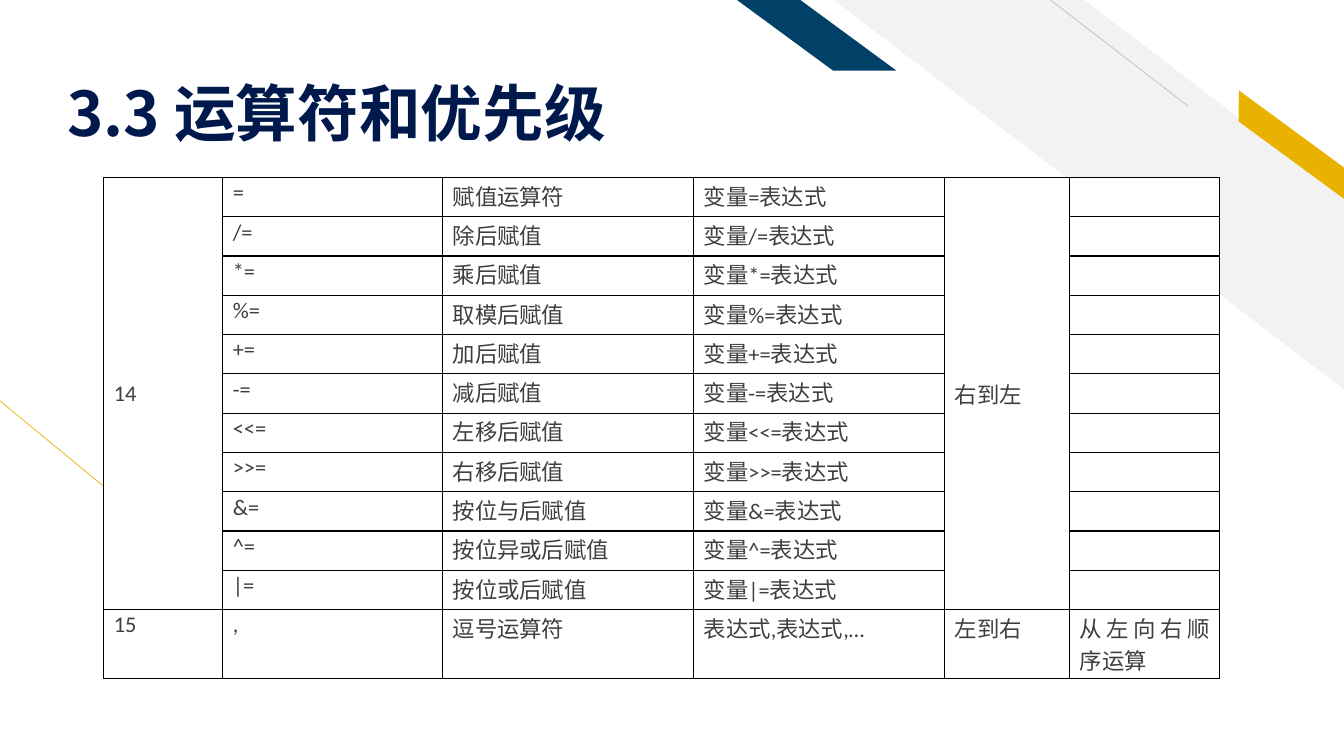
"""Build the slide on assignment and comma operators and their precedence."""
from dataclasses import dataclass
from typing import Any

from lxml import etree
from pptx import Presentation
from pptx.dml.color import RGBColor
from pptx.enum.shapes import MSO_CONNECTOR, MSO_SHAPE
from pptx.enum.text import MSO_ANCHOR, MSO_AUTO_SIZE, PP_ALIGN
from pptx.oxml.ns import qn
from pptx.slide import Slide
from pptx.table import Table, _Cell
from pptx.text.text import _Run
from pptx.util import Emu, Pt

STRIPE, PARALLELOGRAM = MSO_SHAPE.DIAGONAL_STRIPE, MSO_SHAPE.PARALLELOGRAM
STRAIGHT = MSO_CONNECTOR.STRAIGHT
TOP, MIDDLE, BOTTOM = MSO_ANCHOR.TOP, MSO_ANCHOR.MIDDLE, MSO_ANCHOR.BOTTOM
JUSTIFY, LEFT = PP_ALIGN.JUSTIFY, PP_ALIGN.LEFT
NO_AUTOFIT = MSO_AUTO_SIZE.NONE

GOLD = RGBColor(0xEA, 0xB2, 0x00)
PALE_GREY = RGBColor(0xF2, 0xF2, 0xF2)
MID_GREY = RGBColor(0xBF, 0xBF, 0xBF)
TEAL = RGBColor(0x01, 0x40, 0x67)
NAVY = RGBColor(0x00, 0x19, 0x4C)
TEXT_GREY = RGBColor(0x3F, 0x3F, 0x3F)
WHITE = RGBColor(0xFF, 0xFF, 0xFF)

LATIN_FONT = "Calibri"
CHINESE_FONT = "Noto Sans CJK SC"
EMU_PER_PX = 9144
TITLE_ONLY = 5


def px(length: int) -> Emu:
    """Turn px into EMU, at 100 px to the inch."""
    return Emu(length * EMU_PER_PX)


@dataclass(frozen=True)
class Band:
    """A slanted band of the background."""
    preset: MSO_SHAPE
    box: tuple[int, int, int, int]
    slant: float
    color: RGBColor
    rotation: float = 0


@dataclass(frozen=True)
class Hairline:
    """A thin line of the background."""
    start: tuple[int, int]
    end: tuple[int, int]
    color: RGBColor


@dataclass(frozen=True)
class Operator:
    """An operator with its meaning."""
    symbol: str
    meaning: str


HAIRLINES = (
    Hairline((208, 569), (-1, 397), GOLD),
    Hairline((1178, 105), (1042, 0), MID_GREY),
)
BANDS = (
    Band(STRIPE, (827, 0, 507, 387), 0.51, PALE_GREY),
    Band(PARALLELOGRAM, (1207, 131, 148, 25), 0.72, GOLD, 36.3),
    Band(PARALLELOGRAM, (731, 0, 158, 70), 1.36, TEAL),
)
ASSIGNMENTS = (
    Operator("=", "赋值运算符"),
    Operator("/=", "除后赋值"),
    Operator("*=", "乘后赋值"),
    Operator("%=", "取模后赋值"),
    Operator("+=", "加后赋值"),
    Operator("-=", "减后赋值"),
    Operator("<<=", "左移后赋值"),
    Operator(">>=", "右移后赋值"),
    Operator("&=", "按位与后赋值"),
    Operator("^=", "按位异或后赋值"),
    Operator("|=", "按位或后赋值"),
)
COMMA_ROW = ("15", ",", "逗号运算符", "表达式,表达式,…", "左到右", "从左向右顺序运算")
LEVEL_COLUMN, DIRECTION_COLUMN = 0, 4
COLUMN_WIDTHS = (118, 218, 249, 249, 124, 149)
ROW_HEIGHTS = (39,) * len(ASSIGNMENTS) + (66,)

TITLE_BOX = {"left": px(57), "top": px(23), "width": px(911), "height": px(126)}
TITLE_FRAME = {
    "margin_left": px(10), "margin_top": px(5), "margin_right": px(10), "margin_bottom": 0,
    "vertical_anchor": BOTTOM, "word_wrap": True, "auto_size": NO_AUTOFIT,
}
TITLE_FONT = {"name": CHINESE_FONT, "size": Pt(44), "bold": True}
CELL_FORMAT = {
    "margin_left": px(10), "margin_top": px(2), "margin_right": px(10), "margin_bottom": px(2),
}
CELL_FONT = {"name": LATIN_FONT, "size": Pt(16), "bold": False}
PLAIN_TABLE = {"first_row": False, "horz_banding": False}


def apply_format(target: Any, values: dict[str, Any]) -> None:
    """Set each named attribute on the target."""
    for name, value in values.items():
        setattr(target, name, value)


def style_run(run: _Run, font_values: dict[str, Any], color: RGBColor) -> None:
    """Format a run, with the Chinese font for East Asian text."""
    apply_format(run.font, font_values)
    run.font.color.rgb = color
    etree.SubElement(run.font._element, qn("a:ea"), typeface=CHINESE_FONT)


def draw_hairline(slide: Slide, hairline: Hairline) -> None:
    """Draw a thin line without a shadow."""
    ends = [px(value) for value in hairline.start + hairline.end]
    connector = slide.shapes.add_connector(STRAIGHT, *ends)
    connector.line.color.rgb = hairline.color
    connector.line.width = Pt(0.5)
    etree.SubElement(connector._element.spPr, qn("a:effectLst"))


def draw_band(slide: Slide, band: Band) -> None:
    """Draw a band mirrored from left to right."""
    stripe = slide.shapes.add_shape(band.preset, *map(px, band.box))
    stripe.adjustments[0] = band.slant
    stripe.rotation = band.rotation
    stripe._element.spPr.find(qn("a:xfrm")).set("flipH", "1")
    stripe.fill.solid()
    stripe.fill.fore_color.rgb = band.color
    stripe.line.fill.background()
    stripe.shadow.inherit = False


def write_title(slide: Slide) -> None:
    """Place and format the title above the background."""
    title = slide.shapes.title
    slide.shapes._spTree.append(title._element)
    apply_format(title, TITLE_BOX)
    apply_format(title.text_frame, TITLE_FRAME)
    heading = title.text_frame.paragraphs[0]
    apply_format(heading, {"alignment": LEFT, "line_spacing": 0.9})
    run = heading.add_run()
    run.text = "3.3 运算符和优先级"
    style_run(run, TITLE_FONT, NAVY)


def add_borders(cell: _Cell) -> None:
    """Give a cell black borders of one point."""
    properties = cell._tc.get_or_add_tcPr()
    for side in ("lnL", "lnR", "lnT", "lnB"):
        border = etree.SubElement(properties, qn(f"a:{side}"), w=str(Pt(1)))
        fill = etree.SubElement(border, qn("a:solidFill"))
        etree.SubElement(fill, qn("a:srgbClr"), val="000000")


def write_cell(cell: _Cell, wording: str, anchor: MSO_ANCHOR) -> None:
    """Format a cell and write its wording."""
    add_borders(cell)
    cell.fill.solid()
    cell.fill.fore_color.rgb = WHITE
    apply_format(cell, CELL_FORMAT | {"vertical_anchor": anchor})
    if wording:
        paragraph = cell.text_frame.paragraphs[0]
        paragraph.alignment = JUSTIFY
        run = paragraph.add_run()
        run.text = wording
        style_run(run, CELL_FONT, TEXT_GREY)


def fill_table(precedence: Table) -> None:
    """Size the table and write its rows."""
    apply_format(precedence, PLAIN_TABLE)
    for column, width in zip(precedence.columns, COLUMN_WIDTHS):
        column.width = px(width)
    for row, height in zip(precedence.rows, ROW_HEIGHTS):
        row.height = px(height)
    rows = [("", op.symbol, op.meaning, f"变量{op.symbol}表达式", "", "") for op in ASSIGNMENTS]
    rows[0] = ("14", *rows[0][1:4], "右到左", "")
    rows.append(COMMA_ROW)
    merged_columns = (LEVEL_COLUMN, DIRECTION_COLUMN)
    last_assignment = len(ASSIGNMENTS) - 1
    for row_index, wordings in enumerate(rows):
        for column_index, wording in enumerate(wordings):
            is_merged = column_index in merged_columns and row_index <= last_assignment
            write_cell(precedence.cell(row_index, column_index), wording, MIDDLE if is_merged else TOP)
    for column_index in merged_columns:
        precedence.cell(0, column_index).merge(precedence.cell(last_assignment, column_index))


def main() -> None:
    """Build and save the slide."""
    deck = Presentation()
    apply_format(deck, {"slide_width": px(1333), "slide_height": px(750)})
    slide = deck.slides.add_slide(deck.slide_layouts[TITLE_ONLY])
    for hairline in HAIRLINES[:1]:
        draw_hairline(slide, hairline)
    for band in BANDS:
        draw_band(slide, band)
    for hairline in HAIRLINES[1:]:
        draw_hairline(slide, hairline)
    write_title(slide)
    box = (px(103), px(176), px(sum(COLUMN_WIDTHS)), px(sum(ROW_HEIGHTS)))
    fill_table(slide.shapes.add_table(len(ROW_HEIGHTS), len(COLUMN_WIDTHS), *box).table)
    deck.save("out.pptx")


if __name__ == "__main__":
    main()
